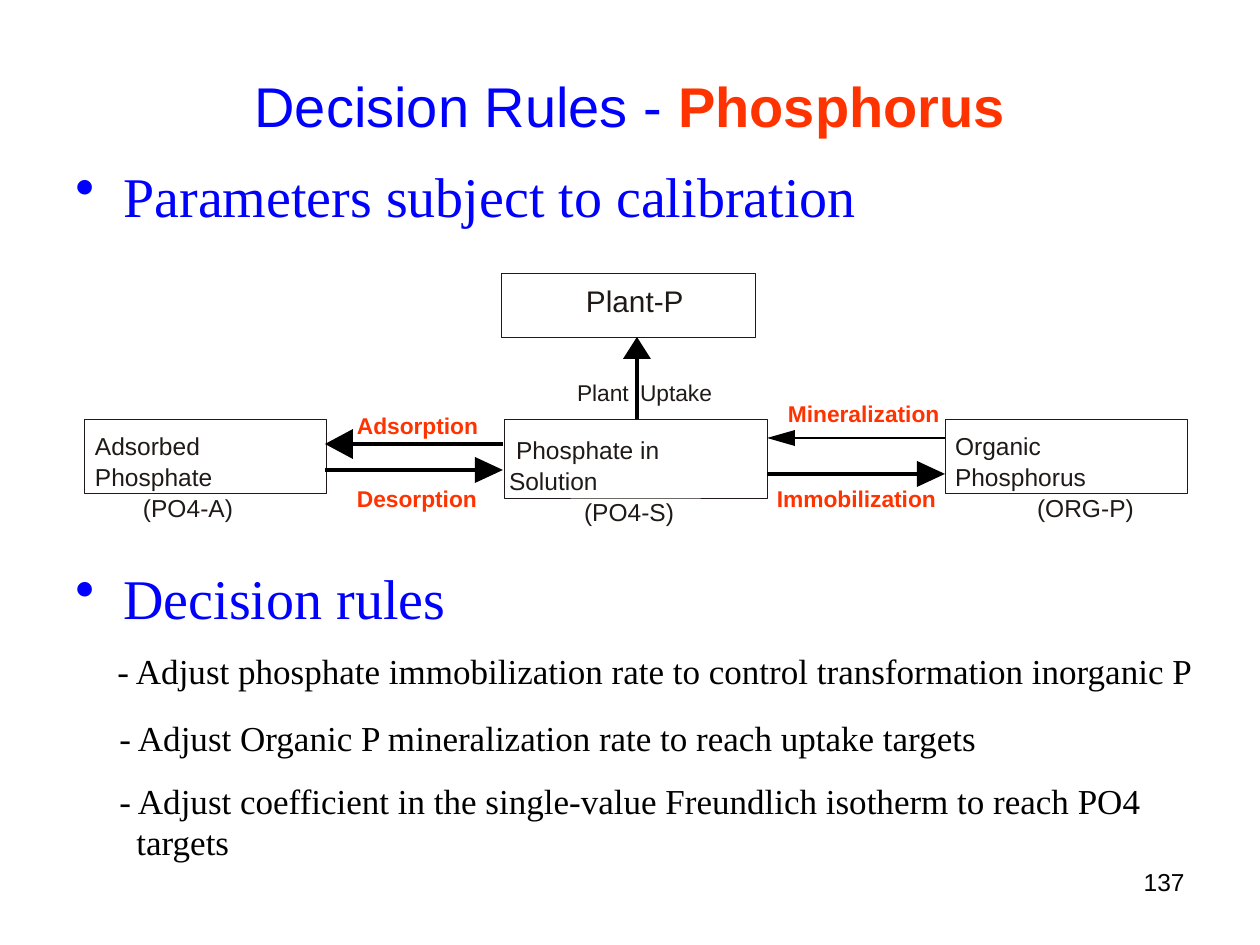
from lxml.etree import SubElement
from pptx import Presentation
from pptx.dml.color import RGBColor
from pptx.enum.shapes import MSO_CONNECTOR, MSO_SHAPE
from pptx.enum.text import MSO_ANCHOR, PP_ALIGN
from pptx.oxml.ns import qn
from pptx.util import Emu, Pt

BLUE, RED, INK, BLACK = "0000FF", "FF3300", "1F1A17", "000000"
SANS, SERIF = "Arial", "Times New Roman"


def px(n):
    """Turn px, 126 to the inch, into EMU."""
    return Emu(round(n * 914400 / 126))


def color(code):
    """Make a colour from a hex string."""
    return RGBColor.from_string(code)


def style(run, size, code, face=SANS, bold=False):
    """Set the font of one run."""
    font = run.font
    font.size, font.name, font.bold = Pt(size), face, bold
    font.color.rgb = color(code)


def frame(slide, left, top, width, height):
    """Add a wrapping text box and give its frame."""
    box = slide.shapes.add_textbox(px(left), px(top), px(width), px(height))
    box.text_frame.word_wrap = True
    return box.text_frame


def indent(para, margin, first=0):
    """Set the left margin and first-line indent of a paragraph."""
    props = para._p.get_or_add_pPr()
    props.set("marL", str(px(margin)))
    props.set("indent", str(px(first)))
    return props


def label(slide, left, top, width, lines, size, code=INK, bold=False):
    """Add text without insets; each line is (text, margin, first indent)."""
    text = frame(slide, left, top, width, round(size * 2.1) * len(lines))
    text.margin_left = text.margin_right = 0
    text.margin_top = text.margin_bottom = 0
    text.text = "\n".join(line[0] for line in lines)
    for para, (_, margin, first) in zip(text.paragraphs, lines):
        indent(para, margin, first)
        para.line_spacing = 1.05
        for run in para.runs:
            style(run, size, code, bold=bold)


def frame_box(slide, left, top, width, height):
    """Add an outlined box."""
    box = slide.shapes.add_shape(
        MSO_SHAPE.RECTANGLE, px(left), px(top), px(width), px(height))
    box.shadow.inherit = False
    box.fill.background()
    box.line.color.rgb = color(INK)
    box.line.width = Pt(0.38)


def arrow(slide, start, tip, half, weight, head=28):
    """Draw a straight arrow with a head of the given length and half width."""
    (x1, y1), (x2, y2) = start, tip
    span = abs(x2 - x1) + abs(y2 - y1)
    dx, dy = (x2 - x1) // span, (y2 - y1) // span
    bx, by = x2 - dx * head, y2 - dy * head
    shaft = slide.shapes.add_connector(
        MSO_CONNECTOR.STRAIGHT, px(x1), px(y1), px(bx), px(by))
    shaft.line.color.rgb = color(BLACK)
    shaft.line.width = Pt(weight)
    SubElement(shaft._element.spPr, qn("a:effectLst"))
    path = slide.shapes.build_freeform(
        px(bx - dy * half), px(by + dx * half), scale=1.0)
    path.add_line_segments(
        [(px(x2), px(y2)), (px(bx + dy * half), px(by - dx * half))])
    point = path.convert_to_shape()
    point.shadow.inherit = False
    point.fill.solid()
    point.fill.fore_color.rgb = color(BLACK)
    point.line.fill.background()


def title(slide):
    """Add the two-tone title."""
    text = frame(slide, 63, 63, 1134, 84)
    text.vertical_anchor = MSO_ANCHOR.MIDDLE
    para = text.paragraphs[0]
    para.alignment = PP_ALIGN.CENTER
    for part, code in (("Decision Rules - ", BLUE), ("Phosphorus", RED)):
        run = para.add_run()
        run.text = part
        style(run, 32, code, bold=code == RED)


def body(slide):
    """Add the bullets and the rules under them."""
    rows = [
        ("Parameters subject to calibration", 0, None),
        ("Decision rules", 199, None),
        ("- Adjust phosphate immobilization rate to control "
         "transformation inorganic P", 16, 42),
        ("- Adjust Organic P mineralization rate to reach uptake targets",
         19, 44),
        ("- Adjust coefficient in the single-value Freundlich isotherm "
         "to reach PO4", 16.5, 44),
        ("targets", 4.5, 61),
    ]
    text = frame(slide, 63, 168, 1155, 725)
    text.text = "\n".join(row[0] for row in rows)
    for para, (_, gap, margin) in zip(text.paragraphs, rows):
        if margin is None:
            props = indent(para, 48, -48)
            SubElement(props, qn("a:buChar")).set("char", "•")
            look = (32, BLUE, SERIF)
        else:
            indent(para, margin)
            look = (20, BLACK, SERIF)
        para.line_spacing = 0.8
        if gap:
            para.space_before = Pt(gap)
        style(para.runs[0], *look)


def cycle(slide):
    """Draw the phosphorus pools and the flows between them."""
    for spot in ((501, 273, 254, 64), (504, 419, 263, 79),
                 (84, 419, 242, 74), (945, 419, 242, 74)):
        frame_box(slide, *spot)

    label(slide, 586, 281, 110, [("Plant-P", 0, 0)], 17)
    label(slide, 95, 430, 228,
          [("Adsorbed\vPhosphate", 0, 0), ("(PO4-A)", 48, 0)], 14)
    label(slide, 509, 434, 245,
          [("Phosphate in\vSolution", 0, 7), ("(PO4-S)", 75, 0)], 14)
    label(slide, 955, 430, 223,
          [("Organic\vPhosphorus", 0, 0), ("(ORG-P)", 82, 0)], 14)

    for word, left, top in (("Plant", 577, 377), ("Uptake", 640, 377)):
        label(slide, left, top, 80, [(word, 0, 0)], 13)
    for word, left, top in (("Adsorption", 357, 410), ("Desorption", 357, 483),
                            ("Mineralization", 788, 398),
                            ("Immobilization", 777, 483)):
        label(slide, left, top, 166, [(word, 0, 0)], 13, RED, True)

    arrow(slide, (503, 444), (325, 444), 15, 2.3)
    arrow(slide, (325, 470), (503, 470), 13, 2.3)
    arrow(slide, (945, 438), (767, 438), 8, 1.3)
    arrow(slide, (767, 474), (945, 474), 13, 2.3)
    arrow(slide, (637, 419), (637, 337), 14, 2.3, 22)


def number(slide):
    """Add the page number."""
    para = frame(slide, 903, 861, 294, 66).paragraphs[0]
    para.text = "137"
    para.alignment = PP_ALIGN.RIGHT
    style(para.runs[0], 14, BLACK)


def main():
    """Build and save the slide."""
    deck = Presentation()
    deck.slide_width, deck.slide_height = px(1260), px(945)
    slide = deck.slides.add_slide(deck.slide_layouts[6])
    for part in (number, title, body, cycle):
        part(slide)
    deck.save("out.pptx")


if __name__ == "__main__":
    main()
